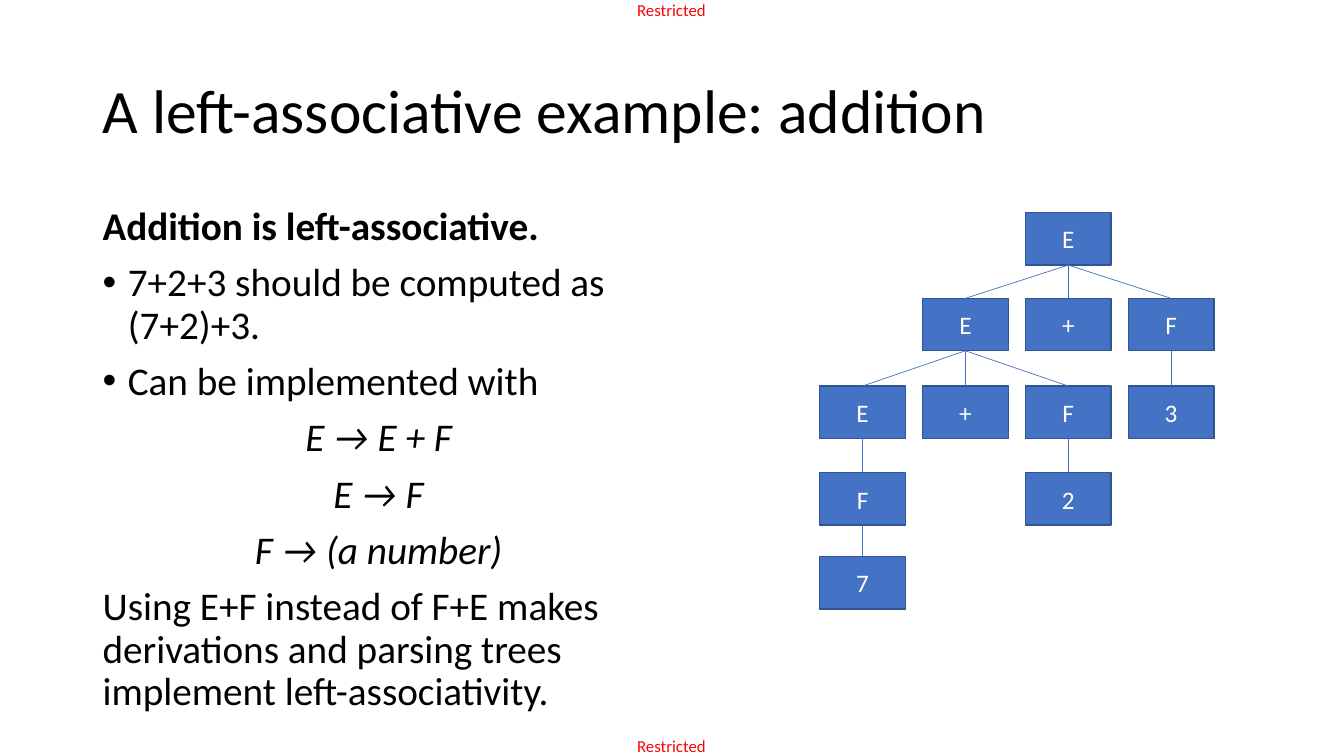
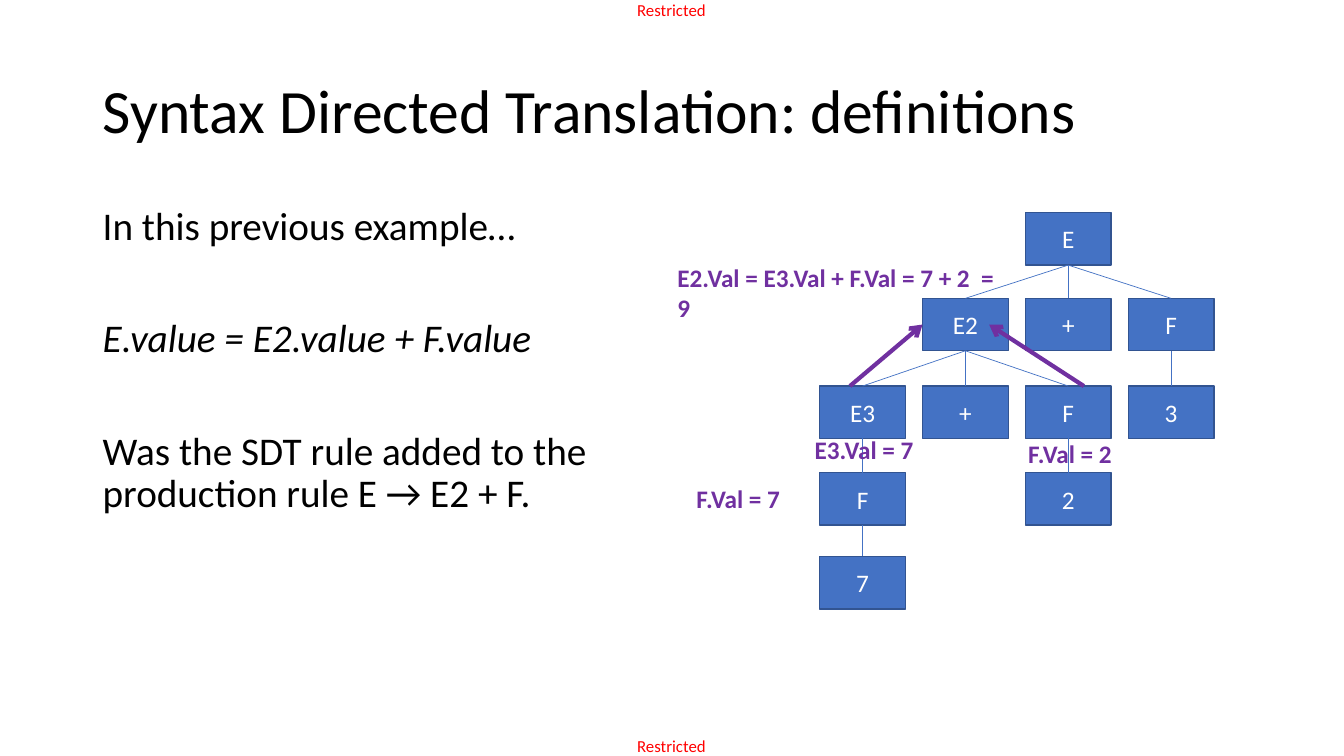
import pptx
import pptx.util
import pptx.dml.color
import pptx.enum.shapes
import pptx.enum.text
import pptx.oxml.ns
from lxml import etree

Inches = pptx.util.Inches
Pt = pptx.util.Pt
RGBColor = pptx.dml.color.RGBColor
PP_ALIGN = pptx.enum.text.PP_ALIGN
MSO_ANCHOR = pptx.enum.text.MSO_ANCHOR
qn = pptx.oxml.ns.qn

# Shared style
FONT = "Calibri"
BLACK = RGBColor(0x00, 0x00, 0x00)
WHITE = RGBColor(0xFF, 0xFF, 0xFF)
RED = RGBColor(0xFF, 0x00, 0x00)
BLUE = RGBColor(0x44, 0x72, 0xC4)
DARK_BLUE = RGBColor(0x32, 0x54, 0x91)
PURPLE = RGBColor(0x70, 0x30, 0xA0)

# Tree grid, in inches
NODE_WIDTH, NODE_HEIGHT = 0.85, 0.52
FIRST_COLUMN, COLUMN_STEP = 8.13, 1.02
ROW_TOPS = (2.11, 2.96, 3.83, 4.69, 5.52)
TOP_SITE, BOTTOM_SITE = 0, 2

# Parse tree of 7+2+3: key -> (label, column, row, parent)
PARSE_TREE = {
    "sum": ("E", 2, 0, None),
    "left sum": ("E", 1, 1, "sum"),
    "outer plus": ("+", 2, 1, "sum"),
    "right factor": ("F", 3, 1, "sum"),
    "first term": ("E", 0, 2, "left sum"),
    "inner plus": ("+", 1, 2, "left sum"),
    "second factor": ("F", 2, 2, "left sum"),
    "three": ("3", 3, 2, "right factor"),
    "first factor": ("F", 0, 3, "first term"),
    "two": ("2", 2, 3, "second factor"),
    "seven": ("7", 0, 4, "first factor"),
}


class Deck:
    """Holds the style and the current slide."""

    def __init__(self):
        self.presentation = pptx.Presentation()
        self.presentation.slide_width = Inches(13.33)
        self.presentation.slide_height = Inches(7.5)
        self.slide = None

    def new_slide(self, title):
        blank = self.presentation.slide_layouts[6]
        self.slide = self.presentation.slides.add_slide(blank)
        for top in (0, 7.3):
            marking = self.text_frame(6.32, top, 0.73, 0.2, margins=False)
            self.set_text(marking.paragraphs[0], "Restricted", 12, RED)
        heading = self.text_frame(0.92, 0.4, 11.5, 1.45)
        heading.vertical_anchor = MSO_ANCHOR.MIDDLE
        heading.paragraphs[0].line_spacing = 0.9
        self.set_text(heading.paragraphs[0], title, 44)

    def text_frame(self, left, top, width, height, margins=True, wrap=True):
        box = self.slide.shapes.add_textbox(
            Inches(left), Inches(top), Inches(width), Inches(height))
        frame = box.text_frame
        frame.word_wrap = wrap
        if not margins:
            frame.margin_left = frame.margin_right = 0
            frame.margin_top = frame.margin_bottom = 0
        return frame

    def set_text(self, paragraph, text, size, color=BLACK, bold=False, italic=False):
        paragraph.text = text
        font = paragraph.font
        font.name, font.size = FONT, Pt(size)
        font.bold, font.italic = bold, italic
        font.color.rgb = color

    def body(self, width, lines, gap=10):
        """Add (text, options) lines; options: bold, italic, center, bullet."""
        frame = self.text_frame(0.92, 2, width, 5.5)
        for index, (text, *options) in enumerate(lines):
            paragraph = frame.add_paragraph() if index else frame.paragraphs[0]
            paragraph.line_spacing = 0.9
            if index:
                paragraph.space_before = Pt(gap)
            if "center" in options:
                paragraph.alignment = PP_ALIGN.CENTER
            if "bullet" in options:
                self.bullet(paragraph)
            self.set_text(paragraph, text, 28, bold="bold" in options,
                          italic="italic" in options)

    def bullet(self, paragraph):
        properties = paragraph._p.get_or_add_pPr()
        properties.set("marL", str(Inches(0.25)))
        properties.set("indent", str(-Inches(0.25)))
        etree.SubElement(properties, qn("a:buFont")).set("typeface", "Arial")
        etree.SubElement(properties, qn("a:buChar")).set("char", "•")

    def node(self, label, column, row):
        box = self.slide.shapes.add_shape(
            pptx.enum.shapes.MSO_SHAPE.RECTANGLE,
            Inches(FIRST_COLUMN + column * COLUMN_STEP), Inches(ROW_TOPS[row]),
            Inches(NODE_WIDTH), Inches(NODE_HEIGHT))
        box.shadow.inherit = False
        box.fill.solid()
        box.fill.fore_color.rgb = BLUE
        box.line.color.rgb = DARK_BLUE
        box.line.width = Pt(1)
        box.text_frame.vertical_anchor = MSO_ANCHOR.MIDDLE
        paragraph = box.text_frame.paragraphs[0]
        paragraph.alignment = PP_ALIGN.CENTER
        self.set_text(paragraph, label, 18, WHITE)
        return box

    def line(self, start=(0, 0), end=(0, 0), color=BLUE, width=0.5, arrow=False):
        connector = self.slide.shapes.add_connector(
            pptx.enum.shapes.MSO_CONNECTOR.STRAIGHT,
            *(Inches(value) for value in (*start, *end)))
        connector.line.color.rgb = color
        connector.line.width = Pt(width)
        if arrow:
            outline = connector.line._get_or_add_ln()
            etree.SubElement(outline, qn("a:tailEnd")).set("type", "arrow")
        etree.SubElement(connector._element.spPr, qn("a:effectLst"))
        return connector

    def tree(self, renamed=None):
        """Draw the parse tree; renamed gives other labels by node key."""
        renamed = renamed or {}
        nodes = {}
        for key, (label, column, row, parent) in PARSE_TREE.items():
            nodes[key] = self.node(renamed.get(key, label), column, row)
            if parent:
                edge = self.line()
                edge.begin_connect(nodes[parent], BOTTOM_SITE)
                edge.end_connect(nodes[key], TOP_SITE)

    def value_label(self, text, left, top, width):
        frame = self.text_frame(left, top, width, 0.4, wrap=False)
        self.set_text(frame.paragraphs[0], text, 18, PURPLE, bold=True)

    def value_arrow(self, start, end):
        self.line(start, end, PURPLE, 3, arrow=True)


def main():
    deck = Deck()

    # Left-associative addition
    deck.new_slide("A left-associative example: addition")
    deck.body(5.67, [
        ("Addition is left-associative.", "bold"),
        ("7+2+3 should be computed as (7+2)+3.", "bullet"),
        ("Can be implemented with", "bullet"),
        ("E → E + F", "center", "italic"),
        ("E → F", "center", "italic"),
        ("F → (a number)", "center", "italic"),
        ("Using E+F instead of F+E makes derivations and parsing trees "
         "implement left-associativity.",),
    ])
    deck.tree()

    # Values passed up the tree
    deck.new_slide("Syntax Directed Translation: definitions")
    deck.body(5.88, [
        ("In this previous example…",),
        ("E.value = E2.value + F.value", "italic"),
        ("Was the SDT rule added to the production rule E → E2 + F.",),
    ], gap=50)
    deck.tree({"left sum": "E2", "first term": "E3"})
    deck.value_arrow((10.75, 3.83), (9.81, 3.22))
    deck.value_arrow((8.43, 3.83), (9.15, 3.22))
    deck.value_label("F.Val = 7", 6.81, 4.75, 1.03)
    deck.value_label("F.Val = 2", 10.1, 4.3, 1.03)
    deck.value_label("E3.Val = 7", 7.98, 4.26, 1.18)
    deck.value_label("E2.Val = E3.Val + F.Val = 7 + 2  = 9", 6.62, 2.55, 3.52)

    deck.presentation.save("out.pptx")


if __name__ == "__main__":
    main()
